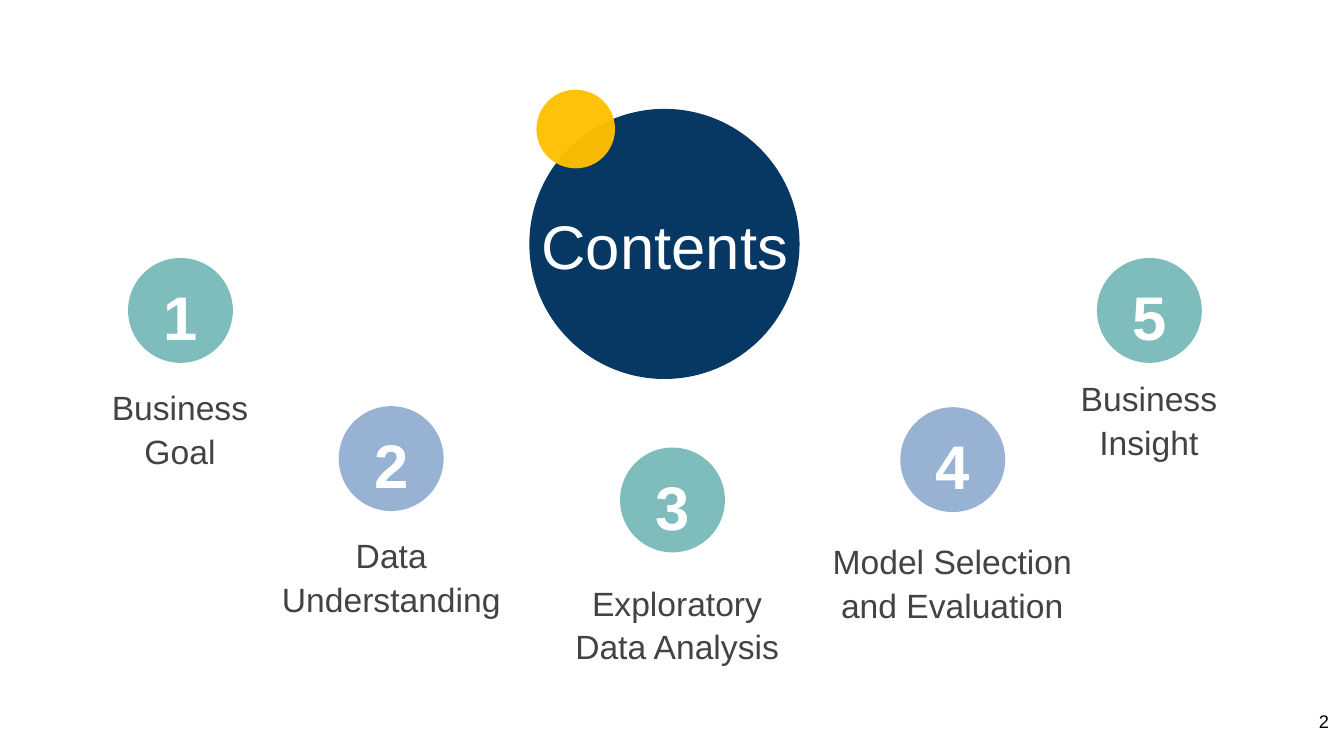
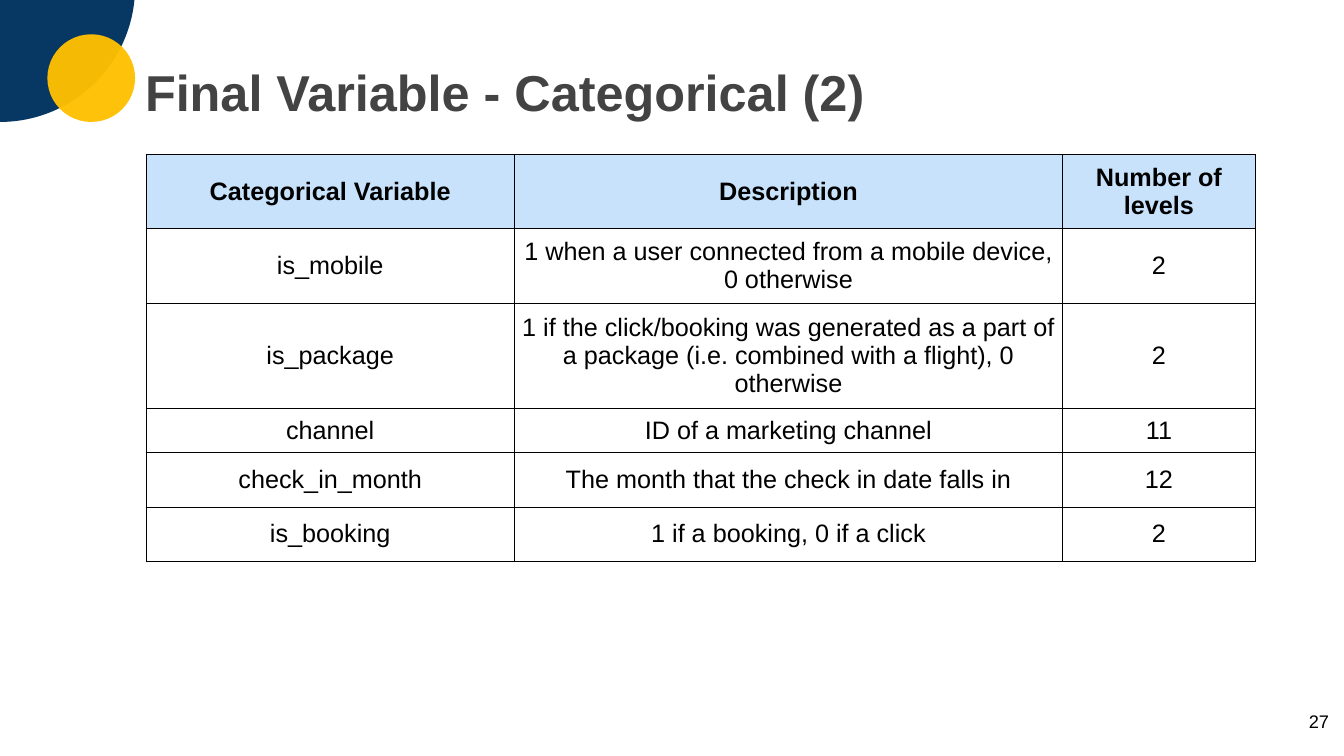
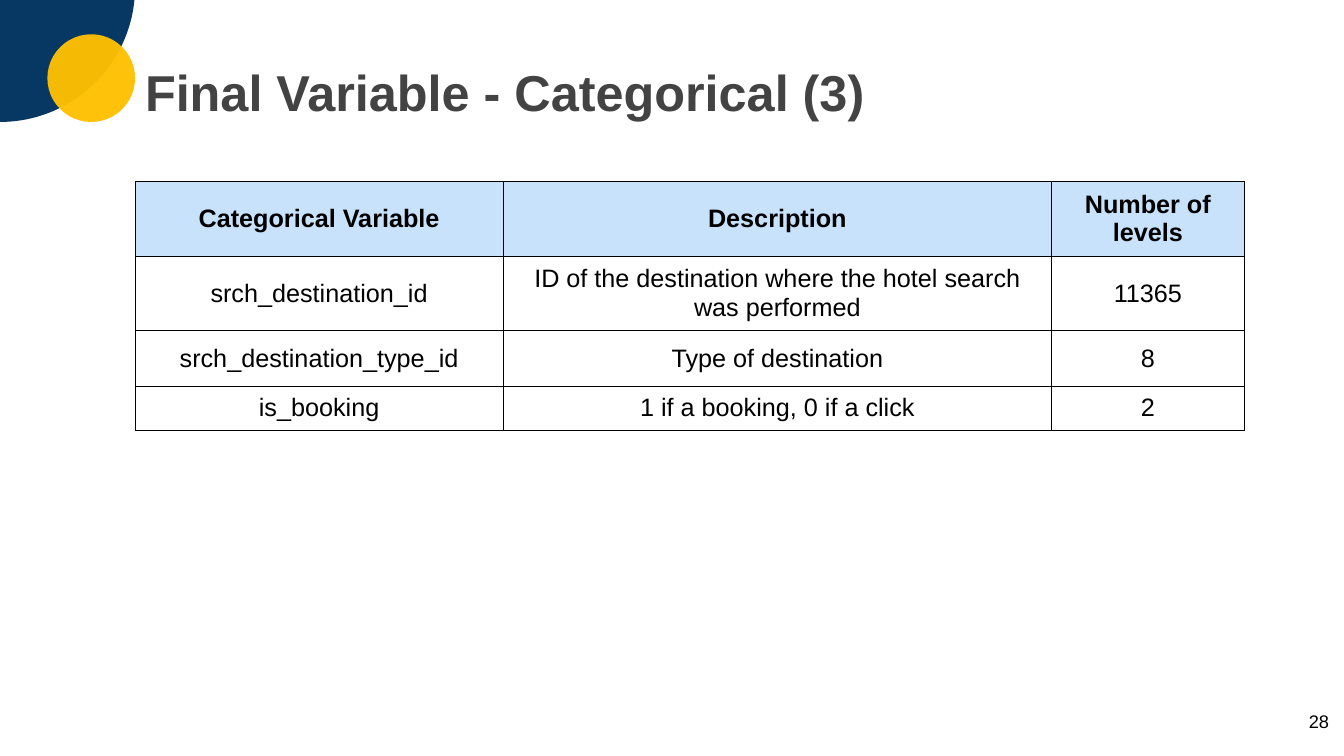
from dataclasses import dataclass

from lxml import etree
from pptx import Presentation
from pptx.dml.color import RGBColor
from pptx.enum import shapes, text
from pptx.oxml import ns
from pptx.util import Inches, Pt


@dataclass(frozen=True)
class Theme:
    font: str = "Arial"
    navy: str = "073763"
    gold: str = "FFC000"
    teal: str = "48A2A0"
    blue: str = "6C92C0"
    header: str = "C7E2FA"
    gray: str = "434343"
    black: str = "000000"
    white: str = "FFFFFF"
    display: int = 44
    title: int = 36
    label: int = 24
    cell: int = 18
    page: int = 13
    spacing: float = 1.08


THEME = Theme()

# Content: circle position, then label text and its left, top, width, height
TOPICS = [
    ((1.27, 2.56), "Business Goal", (0.81, 3.76, 1.95, 0.93)),
    ((3.36, 4.03), "Data Understanding", (2.54, 5.23, 2.68, 1.04)),
    ((6.15, 4.44), "Exploratory Data Analysis", (5.57, 5.7, 2.29, 0.4)),
    ((8.93, 4.04), "Model Selection and Evaluation", (8.06, 5.29, 2.77, 0.93)),
    ((10.88, 2.56), "Business Insight", (10.25, 3.67, 2.29, 0.4)),
]
HEADINGS = ("Categorical Variable", "Description", "Number of levels")
COLUMN_WIDTHS = (3.65, 5.44, 1.91)
VARIABLE_SLIDES = [
    {
        "title": "Final Variable - Categorical (2)",
        "page": 27,
        "table_at": (1.45, 1.53),
        "row_heights": (0.54, 0.54, 0.93, 0.34, 0.54, 0.54),
        "variables": [
            ("is_mobile", "1 when a user connected from a mobile device, 0 otherwise", "2"),
            ("is_package", "1 if the click/booking was generated as a part of a package "
             "(i.e. combined with a flight), 0 otherwise", "2"),
            ("channel", "ID of a marketing channel", "11"),
            ("check_in_month", "The month that the check in date falls in", "12"),
            ("is_booking", "1 if a booking, 0 if a click", "2"),
        ],
    },
    {
        "title": "Final Variable - Categorical (3)",
        "page": 28,
        "table_at": (1.34, 1.8),
        "row_heights": (0.66, 0.55, 0.55, 0.4),
        "variables": [
            ("srch_destination_id",
             "ID of the destination where the hotel search was performed", "11365"),
            ("srch_destination_type_id", "Type of destination", "8"),
            ("is_booking", "1 if a booking, 0 if a click", "2"),
        ],
    },
]

BIG_CIRCLE = 2.68
TOPIC_CIRCLE = 1.04
NUMBER_INSET = 0.1


# Shared parts
def style(paragraph, size, color, bold=False, align=text.PP_ALIGN.CENTER):
    paragraph.alignment = align
    font = paragraph.font
    font.name, font.size, font.bold = THEME.font, Pt(size), bold
    font.color.rgb = RGBColor.from_string(color)


def add_text(slide, words, box, size, color, bold=False,
             align=text.PP_ALIGN.CENTER, spacing=THEME.spacing, margin=0.05):
    frame = slide.shapes.add_textbox(*map(Inches, box)).text_frame
    frame.word_wrap = True
    frame.margin_top = frame.margin_bottom = Inches(margin)
    paragraph = frame.paragraphs[0]
    paragraph.text = words
    paragraph.line_spacing = spacing
    style(paragraph, size, color, bold, align)


def add_circle(slide, left, top, diameter, color, opacity=100):
    circle = slide.shapes.add_shape(
        shapes.MSO_SHAPE.OVAL, *map(Inches, (left, top, diameter, diameter)))
    circle.shadow.inherit = False
    circle.line.fill.background()
    circle.fill.solid()
    circle.fill.fore_color.rgb = RGBColor.from_string(color)
    if opacity < 100:
        fill_color = circle._element.spPr.find(".//" + ns.qn("a:srgbClr"))
        etree.SubElement(fill_color, ns.qn("a:alpha"), val=str(opacity * 1000))


def add_page_number(slide, number):
    add_text(slide, str(number), (12.48, 6.93, 0.8, 0.57), THEME.page, THEME.black,
             align=text.PP_ALIGN.RIGHT, margin=0.1)


def add_title(slide, words):
    add_circle(slide, -1.34, -1.47, BIG_CIRCLE, THEME.navy)
    add_circle(slide, 0.47, 0.34, 0.87, THEME.gold, 96)
    add_text(slide, words, (1.34, 0.47, 7.83, 0.66), THEME.title, THEME.gray,
             bold=True, align=text.PP_ALIGN.LEFT, spacing=1.15)


def add_borders(cell):
    properties = cell._tc.get_or_add_tcPr()
    for index, side in enumerate(("lnL", "lnR", "lnT", "lnB")):
        line = etree.Element(ns.qn(f"a:{side}"), w=str(Pt(0.5)))
        fill = etree.SubElement(line, ns.qn("a:solidFill"))
        etree.SubElement(fill, ns.qn("a:srgbClr"), val=THEME.black)
        properties.insert(index, line)


def add_variable_table(slide, position, row_heights, variables):
    size = (sum(COLUMN_WIDTHS), sum(row_heights))
    table = slide.shapes.add_table(
        len(row_heights), len(COLUMN_WIDTHS), *map(Inches, position + size)).table
    table.first_row = table.horz_banding = False
    for column, width in zip(table.columns, COLUMN_WIDTHS):
        column.width = Inches(width)
    for row, height in zip(table.rows, row_heights):
        row.height = Inches(height)
    for row_index, values in enumerate([HEADINGS, *variables]):
        is_header = row_index == 0
        for column_index, value in enumerate(values):
            cell = table.cell(row_index, column_index)
            cell.text = value
            cell.vertical_anchor = text.MSO_ANCHOR.MIDDLE
            cell.margin_left = cell.margin_right = Inches(0.07)
            cell.margin_top = cell.margin_bottom = Inches(0.07)
            style(cell.text_frame.paragraphs[0], THEME.cell, THEME.black, is_header)
            if is_header:
                cell.fill.solid()
                cell.fill.fore_color.rgb = RGBColor.from_string(THEME.header)
            else:
                cell.fill.background()
            add_borders(cell)


# Slides
def build_contents(slide):
    add_circle(slide, 5.25, 1.08, BIG_CIRCLE, THEME.navy)
    add_text(slide, "Contents", (4.43, 1.96, 4.33, 0.93), THEME.display, THEME.white)
    add_circle(slide, 5.32, 0.89, 0.78, THEME.gold, 96)
    number_size = TOPIC_CIRCLE - 2 * NUMBER_INSET
    for number, ((left, top), label, label_box) in enumerate(TOPICS, 1):
        add_circle(slide, left, top, TOPIC_CIRCLE,
                   THEME.teal if number % 2 else THEME.blue, 70)
        add_text(slide, str(number),
                 (left + NUMBER_INSET, top + NUMBER_INSET, number_size, number_size),
                 THEME.display, THEME.white, bold=True)
        add_text(slide, label, label_box, THEME.label, THEME.gray)
    add_page_number(slide, 2)


def build_variables(slide, content):
    add_variable_table(slide, content["table_at"], content["row_heights"],
                       content["variables"])
    add_title(slide, content["title"])
    add_page_number(slide, content["page"])


def main():
    deck = Presentation()
    deck.slide_width, deck.slide_height = Inches(13.33), Inches(7.5)
    blank = deck.slide_layouts[6]
    build_contents(deck.slides.add_slide(blank))
    for content in VARIABLE_SLIDES:
        build_variables(deck.slides.add_slide(blank), content)
    deck.save("out.pptx")


if __name__ == "__main__":
    main()
